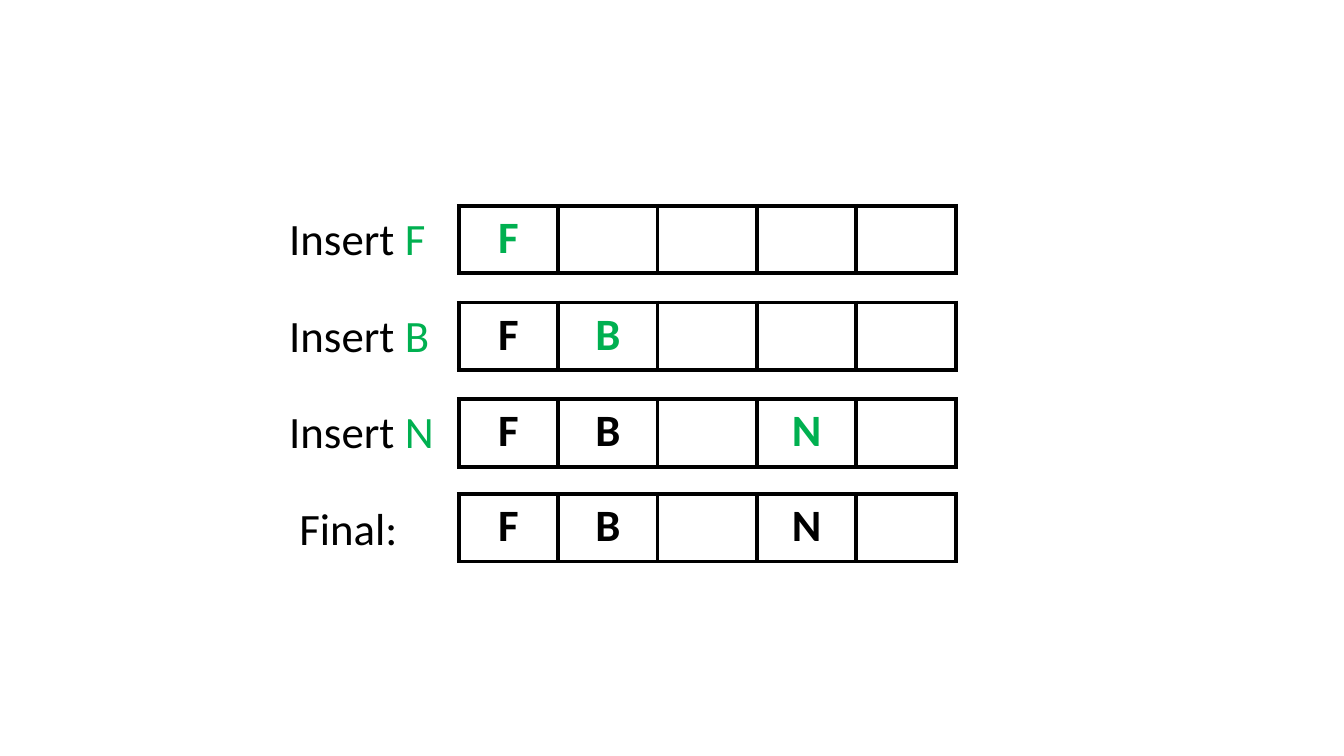
"""Build a slide showing three insertions into a five-slot hash table."""
from dataclasses import dataclass

from lxml.etree import SubElement
from pptx import Presentation
from pptx.dml.color import RGBColor
from pptx.enum.text import MSO_AUTO_SIZE as AutoSize, PP_ALIGN as Align
from pptx.oxml.ns import qn
from pptx.slide import Slide
from pptx.table import _Cell as Cell
from pptx.util import Inches, Pt

BLACK, GREEN, WHITE = "000000", "00B050", "FFFFFF"
FONT, TEXT_SIZE, BORDER = "Calibri", Pt(32), Pt(3)
SLOT_COUNT, TABLE_LEFT, TABLE_WIDTH, ROW_HEIGHT = 5, 4.55, 4.93, 0.67
FIRST_TOP, STEP_PITCH = 2.04, 0.96


@dataclass(frozen=True)
class Step:
    """One labelled state of the hash table."""

    label: str
    slots: str
    inserted: str = ""
    label_left: float = 2.77
    table_shift: float = 0.0


STEPS = [
    Step("Insert ", "F    ", "F"),
    Step("Insert ", "FB   ", "B"),
    Step("Insert ", "FB N ", "N"),
    Step("Final:", "FB N ", label_left=2.87, table_shift=-0.02),
]


def color(code: str) -> RGBColor:
    """Turn a hex string into a colour."""
    return RGBColor.from_string(code)


def draw_borders(cell: Cell) -> None:
    """Give a cell black lines on all four sides."""
    properties = cell._tc.get_or_add_tcPr()
    for position, side in enumerate(("lnL", "lnR", "lnT", "lnB")):
        line = properties.makeelement(qn(f"a:{side}"), {"w": str(BORDER)})
        fill = SubElement(line, qn("a:solidFill"))
        SubElement(fill, qn("a:srgbClr"), val=BLACK)
        properties.insert(position, line)


def draw_label(page: Slide, step: Step, top: float) -> None:
    """Write the step's name, with the inserted key in green."""
    box = page.shapes.add_textbox(
        Inches(step.label_left), Inches(top), Inches(1.69), Inches(0.64))
    box.text_frame.word_wrap = True
    box.text_frame.auto_size = AutoSize.SHAPE_TO_FIT_TEXT
    para = box.text_frame.paragraphs[0]
    para.font.name, para.font.size = FONT, TEXT_SIZE
    for text, code in ((step.label, BLACK), (step.inserted, GREEN)):
        if text:
            span = para.add_run()
            span.text = text
            span.font.color.rgb = color(code)


def draw_slots(page: Slide, step: Step, top: float) -> None:
    """Draw the row of slots after the step."""
    table = page.shapes.add_table(
        1, SLOT_COUNT, Inches(TABLE_LEFT), Inches(top),
        Inches(TABLE_WIDTH), Inches(ROW_HEIGHT)).table
    table.first_row = table.horz_banding = False
    for cell, key in zip(table.iter_cells(), step.slots):
        cell.fill.solid()
        cell.fill.fore_color.rgb = color(WHITE)
        draw_borders(cell)
        if key.strip():
            cell.text = key
            para = cell.text_frame.paragraphs[0]
            para.alignment = Align.CENTER
            para.font.name, para.font.size, para.font.bold = FONT, TEXT_SIZE, True
            para.font.color.rgb = color(GREEN if key == step.inserted else BLACK)


def main() -> None:
    """Create and save the deck."""
    deck = Presentation()
    deck.slide_width, deck.slide_height = Inches(13.33), Inches(7.5)
    page = deck.slides.add_slide(deck.slide_layouts[6])
    for index, step in enumerate(STEPS):
        top = FIRST_TOP + index * STEP_PITCH
        draw_label(page, step, top)
        draw_slots(page, step, top + step.table_shift)
    deck.save("out.pptx")


if __name__ == "__main__":
    main()
